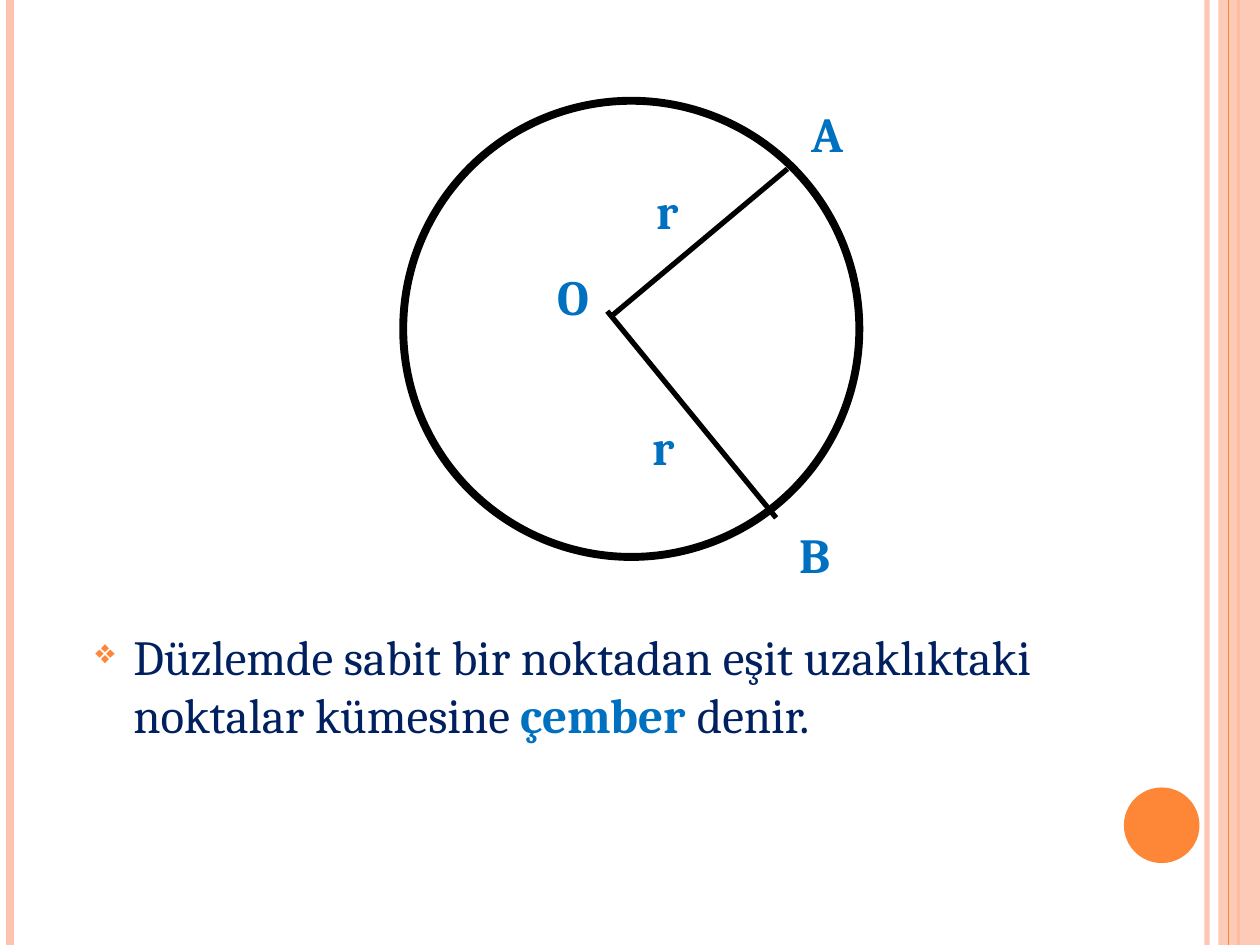
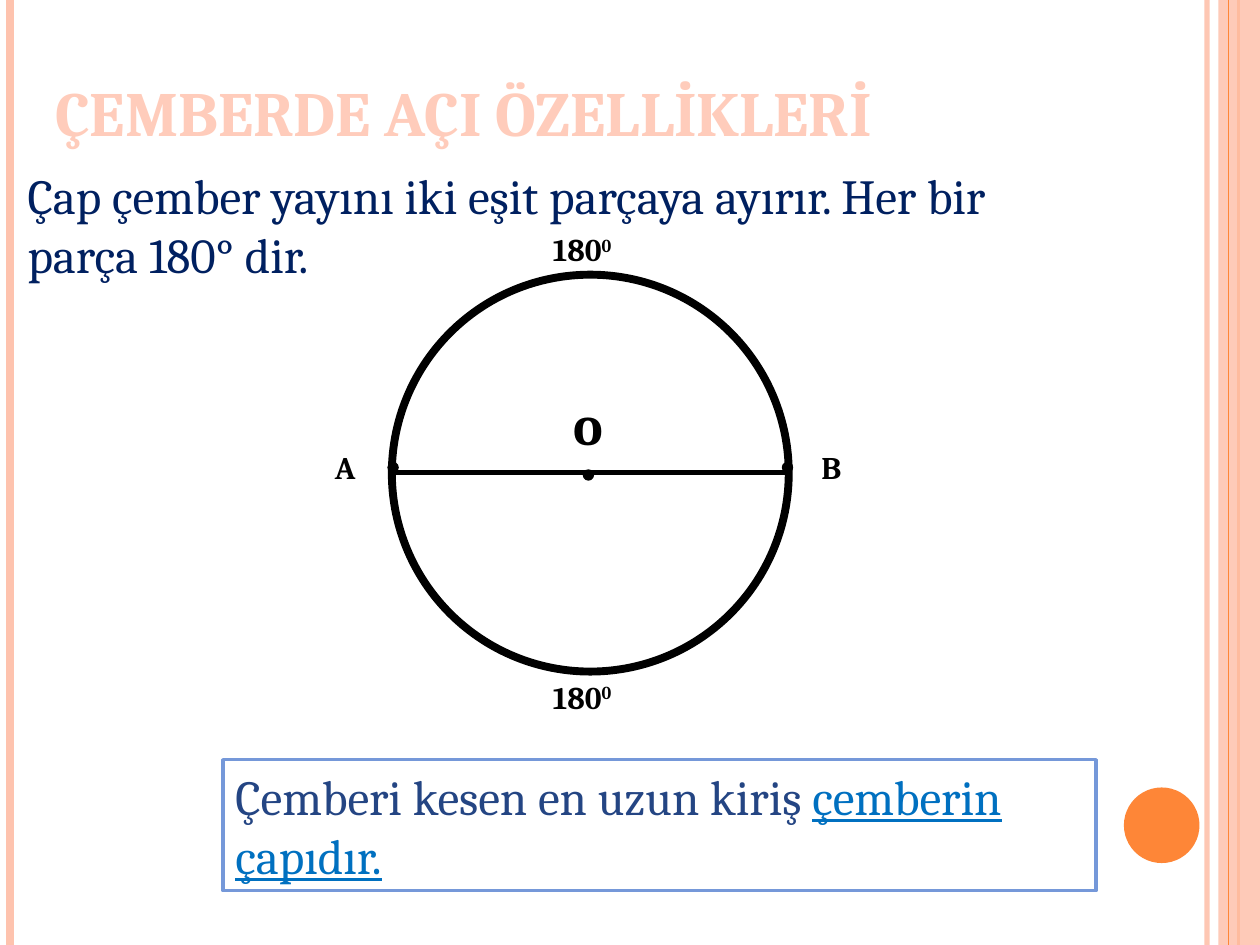
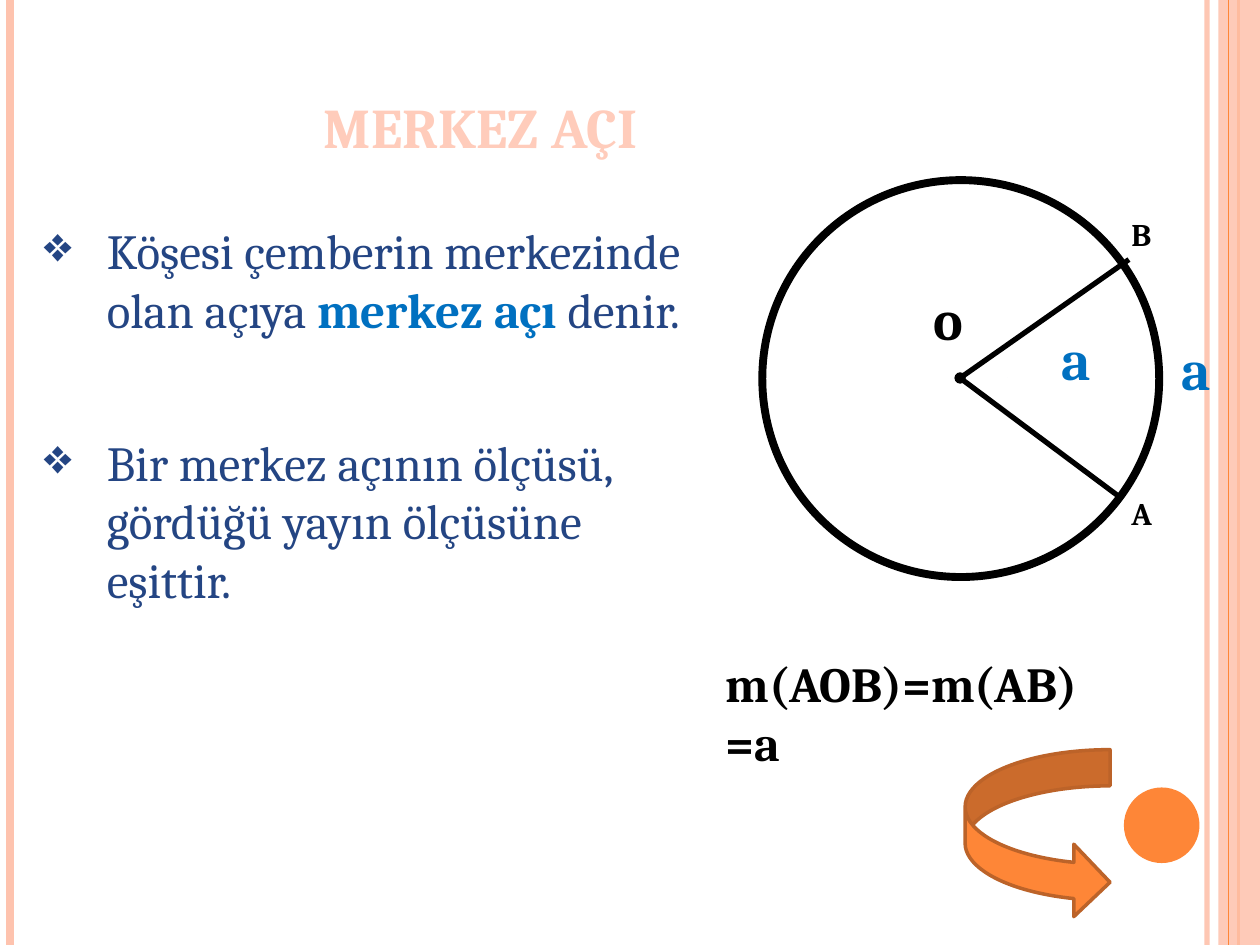
import math

import pptx
import pptx.dml.color
import pptx.enum.shapes
import pptx.enum.text
import pptx.oxml.ns
import pptx.util
from lxml import etree

Inches = pptx.util.Inches
Pt = pptx.util.Pt
SHAPE = pptx.enum.shapes.MSO_SHAPE
ANCHOR = pptx.enum.text.MSO_ANCHOR
qn = pptx.oxml.ns.qn

COLORS = {
    "black": "000000",
    "white": "FFFFFF",
    "peach": "FEC3AE",
    "orange": "FE8637",
    "rust": "BC6329",
    "title": "FFCCBB",
    "navy": "002060",
    "indigo": "244583",
    "blue": "0070C0",
    "frame": "7598D9",
    "gray": "B9BEC7",
}
WIDTH, HEIGHT = 10, 7.5
BODY = 28
DOT = 0.08


class Deck:
    """Holds the shared style and the slide being drawn."""

    font = "Cambria"

    def __init__(self):
        self.presentation = pptx.Presentation()
        self.presentation.slide_width = Inches(WIDTH)
        self.presentation.slide_height = Inches(HEIGHT)
        self.slide = None

    def rgb(self, name):
        return pptx.dml.color.RGBColor.from_string(COLORS[name])

    def new_slide(self):
        """Start a blank slide with the side rails and the corner disc."""
        self.slide = self.presentation.slides.add_slide(self.presentation.slide_layouts[6])
        self.rail(9.58, "peach", 3, 93)
        self.rail(0.08, "peach", 4.5)
        self.rail(9.83, "orange", 1.5)
        self.shape(SHAPE.RECTANGLE, (9.67, 0, 0.33, HEIGHT), "peach", alpha=87)
        self.rail(9.75, "orange", 0.75)
        self.shape(SHAPE.OVAL, (8.92, 6.25, 0.6, 0.6), "orange")

    def rail(self, x, color, weight, alpha=None):
        self.line((x, 0), (x, HEIGHT), color, weight, alpha)

    def fade(self, fill_owner, percent):
        """Make the solid colour below an element partly transparent."""
        color = next(fill_owner.iter(qn("a:srgbClr")))
        etree.SubElement(color, qn("a:alpha"), val=str(percent * 1000))

    def line(self, start, end, color="black", weight=3, alpha=None):
        points = [Inches(value) for value in (*start, *end)]
        connector = self.slide.shapes.add_connector(
            pptx.enum.shapes.MSO_CONNECTOR.STRAIGHT, *points)
        connector.line.color.rgb = self.rgb(color)
        connector.line.width = Pt(weight)
        if alpha:
            self.fade(connector._element.spPr, alpha)
        etree.SubElement(connector._element.spPr, qn("a:effectLst"))

    def paint(self, shape, fill, line, weight):
        shape.shadow.inherit = False
        if fill:
            shape.fill.solid()
            shape.fill.fore_color.rgb = self.rgb(fill)
        else:
            shape.fill.background()
        if line:
            shape.line.color.rgb = self.rgb(line)
            shape.line.width = Pt(weight)
        else:
            shape.line.fill.background()

    def shape(self, kind, box, fill=None, line=None, weight=2, alpha=None):
        shape = self.slide.shapes.add_shape(kind, *map(Inches, box))
        self.paint(shape, fill, line, weight)
        if alpha:
            self.fade(shape._element.spPr, alpha)
        return shape

    def circle(self, left, top, size):
        self.shape(SHAPE.OVAL, (left, top, size, size), line="black", weight=4.5)

    def dot(self, x, y):
        self.shape(SHAPE.OVAL, (x - DOT / 2, y - DOT / 2, DOT, DOT), "black", "black", 0.75)

    def sector(self, apex, center, radius, first, last):
        """Fill the area between the apex and an arc given in degrees."""
        angles = [math.radians(degree) for degree in range(first, last + 1, 4)]
        arc = [(center[0] + radius * math.cos(a), center[1] + radius * math.sin(a))
               for a in angles]
        builder = self.slide.shapes.build_freeform(*apex, scale=Inches(1))
        builder.add_line_segments(arc, close=True)
        self.paint(builder.convert_to_shape(), "gray", "black", 0.75)

    def add_runs(self, shape, runs, size, anchor=ANCHOR.TOP, bullet=None):
        """Add runs of (text, colour, marks); bullet is (indent, colour, percent)."""
        frame = shape.text_frame
        frame.word_wrap = True
        frame.vertical_anchor = anchor
        paragraph = frame.paragraphs[0]
        paragraph.alignment = pptx.enum.text.PP_ALIGN.LEFT
        if bullet:
            self.bullet(paragraph, *bullet)
        for text, color, marks in runs:
            run = paragraph.add_run()
            run.text = text
            run.font.name = self.font
            run.font.size = Pt(size)
            run.font.bold = "b" in marks
            run.font.underline = "u" in marks
            run.font.color.rgb = self.rgb(color)
            if "^" in marks:
                run._r.get_or_add_rPr().set("baseline", "30000")

    def bullet(self, paragraph, indent, color, percent):
        properties = paragraph._p.get_or_add_pPr()
        properties.set("marL", str(Inches(indent)))
        properties.set("indent", str(-Inches(indent)))
        holder = etree.SubElement(properties, qn("a:buClr"))
        etree.SubElement(holder, qn("a:srgbClr"), val=COLORS[color])
        etree.SubElement(properties, qn("a:buSzPct"), val=str(percent * 1000))
        etree.SubElement(properties, qn("a:buChar"), char="❖")

    def text(self, box, runs, size=BODY, anchor=ANCHOR.TOP, bullet=None):
        holder = self.slide.shapes.add_textbox(*map(Inches, box))
        self.add_runs(holder, runs, size, anchor, bullet)

    def label(self, text, box, size, color="black", exponent=""):
        runs = [(text, color, "b")]
        if exponent:
            runs.append((exponent, color, "b^"))
        self.text(box, runs, size)

    def title(self, text, box, size, inset=0.1):
        banner = self.shape(SHAPE.RECTANGLE, box, "white")
        banner.text_frame.margin_left = Inches(inset)
        self.add_runs(banner, [(text, "title", "b")], size, ANCHOR.BOTTOM)


def circle_definition(deck):
    deck.new_slide()
    deck.text((0.66, 4.92, 8.8, 2.5), [
        ("Düzlemde sabit bir noktadan eşit uzaklıktaki noktalar kümesine ", "navy", ""),
        ("çember ", "blue", "b"),
        ("denir.", "navy", ""),
    ], bullet=(0.3, "orange", 70))
    deck.circle(3.2, 0.8, 3.62)
    deck.line((6.25, 1.34), (4.84, 2.52))
    deck.line((4.82, 2.47), (6.16, 4.11))
    for name, left, top, width in (
        ("r", 5.08, 3.26, 0.31),
        ("r", 5.11, 1.38, 0.33),
        ("A", 6.34, 0.77, 0.39),
        ("B", 6.25, 4.11, 0.55),
        ("O", 4.33, 2.07, 0.47),
    ):
        deck.label(name, (left, top, width, 0.57), BODY, "blue")


def angle_properties(deck):
    deck.new_slide()
    deck.text((0.12, 1.26, 8.58, 1.04), [
        ("Çap çember yayını iki eşit parçaya ayırır. Her bir parça 180° dir.", "navy", ""),
    ], anchor=ANCHOR.MIDDLE)
    deck.dot(4.67, 3.77)
    deck.label("o", (4.45, 3.04, 0.47, 0.63), 32)
    deck.line((3.11, 3.75), (6.26, 3.75))
    deck.circle(3.11, 2.18, 3.15)
    for top in (1.78, 5.33):
        deck.label("180", (4.29, top, 0.71, 0.4), 18, exponent="0")
    for name, left, end in (("A", 2.56, 3.12), ("B", 6.42, 6.25)):
        deck.label(name, (left, 3.51, 0.38, 0.4), 18)
        deck.dot(end, 3.71)
    diameter = deck.shape(SHAPE.RECTANGLE, (1.77, 6.03, 6.93, 1.04), "white", "frame")
    deck.add_runs(diameter, [
        ("Çemberi kesen en uzun kiriş ", "indigo", ""),
        ("çemberin çapıdır.", "blue", "u"),
    ], BODY, ANCHOR.MIDDLE)
    deck.title("ÇEMBERDE AÇI ÖZELLİKLERİ", (0.34, 0.27, 9.17, 0.96), 36)


def central_angle(deck):
    center = (7.62, 3)
    bullet = (0.5, "indigo", 100)
    deck.new_slide()
    deck.text((0.25, 1.46, 5.98, 1.51), [
        ("Köşesi çemberin merkezinde olan açıya ", "indigo", ""),
        ("merkez açı ", "blue", "b"),
        ("denir.", "indigo", ""),
    ], anchor=ANCHOR.MIDDLE, bullet=bullet)
    deck.label("m(AOB)=m(AB)=a", (5.66, 5.14, 3.1, 0.57), BODY)
    for left, top in ((8.33, 2.53), (9.28, 2.61)):
        deck.label("a", (left, top, 0.42, 0.64), 32, "blue")
    deck.sector(center, (7.72, 3.04), 0.5, -45, 43)
    for end in ((8.88, 3.94), (8.96, 2.06)):
        deck.line(center, end)
    deck.circle(6.05, 1.43, 3.15)
    deck.dot(*center)
    deck.label("o", (7.31, 2.21, 0.47, 0.64), 32)
    for name, top in (("B", 1.66), ("A", 3.87)):
        deck.label(name, (8.88, top, 0.38, 0.4), 18)
    deck.title("MERKEZ AÇI", (1.69, 0.68, 4.88, 0.64), 32, inset=0.88)
    deck.text((0.25, 3.38, 4.88, 1.51), [
        ("Bir merkez açının ölçüsü, gördüğü yayın ölçüsüne eşittir.", "indigo", ""),
    ], bullet=bullet)
    deck.shape(SHAPE.CURVED_RIGHT_ARROW, (7.66, 5.95, 1.15, 1.34), "orange", "rust")


def main():
    deck = Deck()
    circle_definition(deck)
    angle_properties(deck)
    central_angle(deck)
    deck.presentation.save("out.pptx")


if __name__ == "__main__":
    main()
